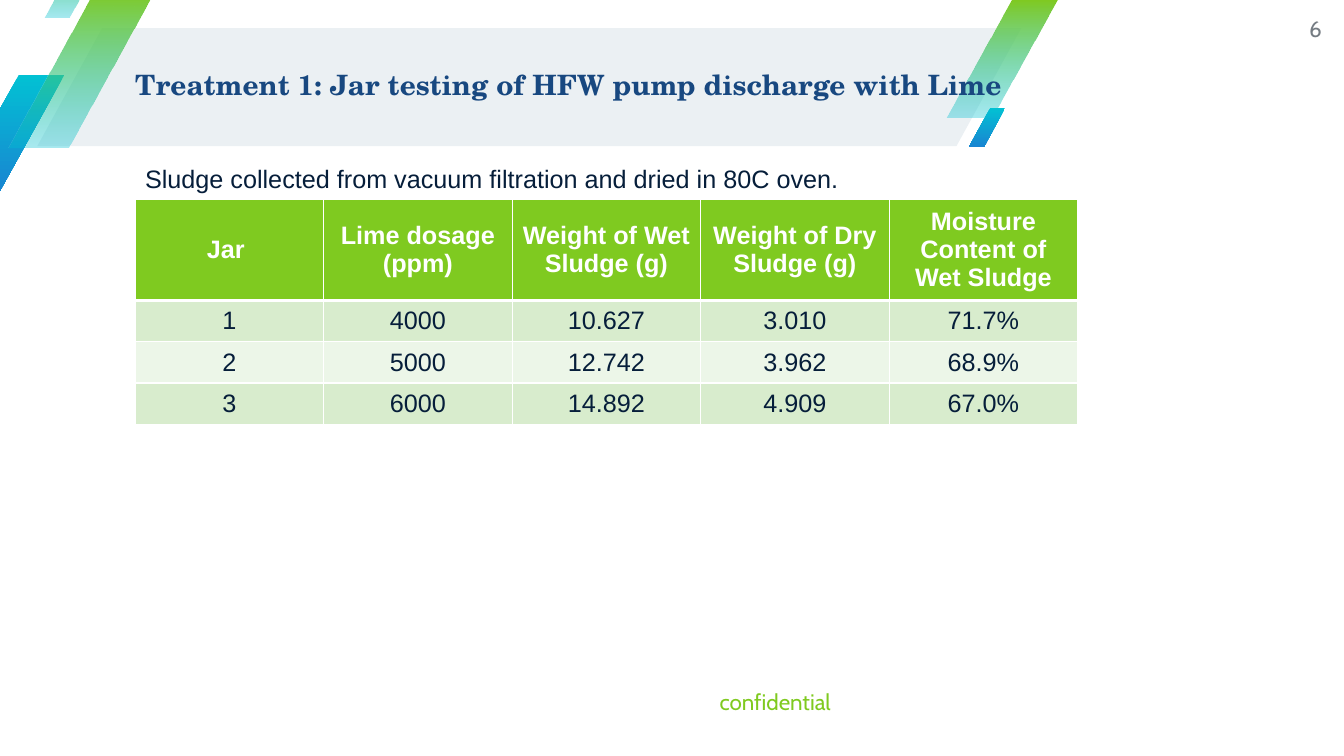
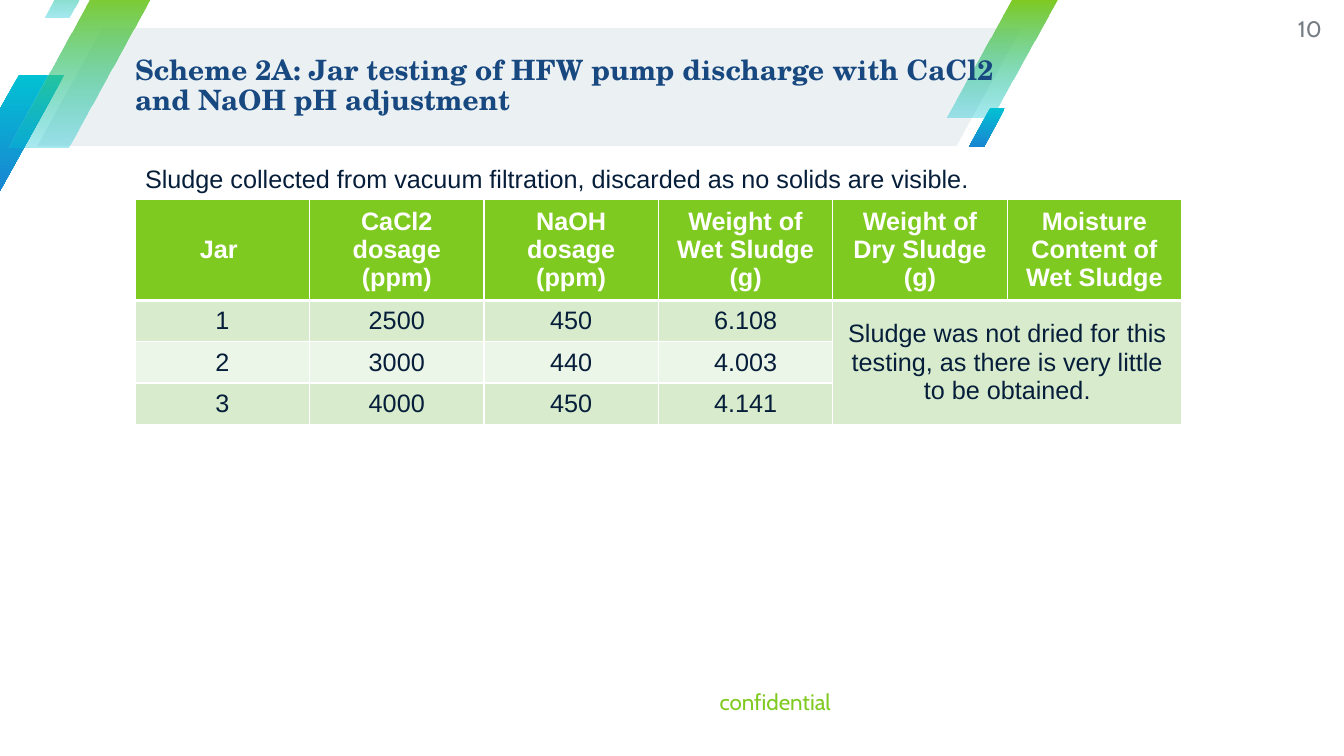
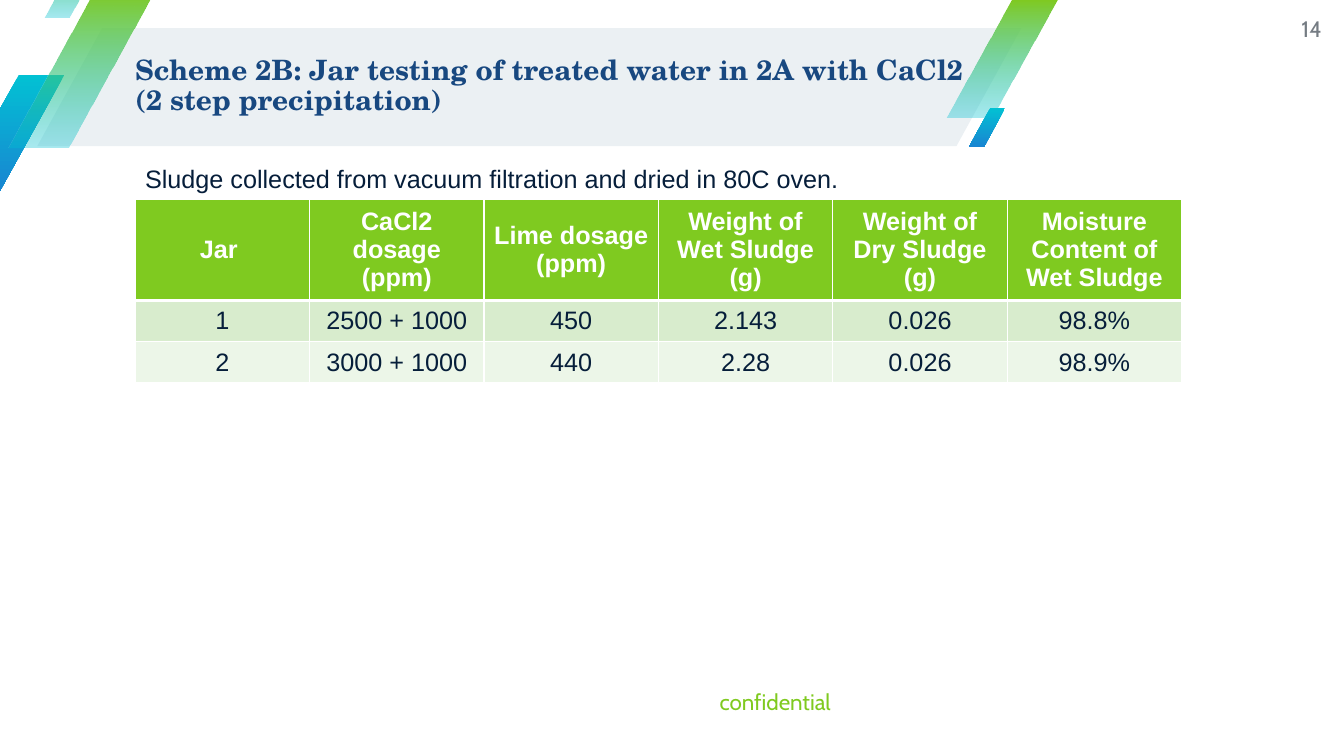
from lxml.etree import SubElement as Sub
from pptx import Presentation
from pptx.dml.color import RGBColor as RGB
from pptx.enum.shapes import MSO_SHAPE as Shape
from pptx.enum.text import MSO_ANCHOR as Anchor, MSO_AUTO_SIZE as Auto, PP_ALIGN as Align
from pptx.oxml.ns import qn
from pptx.util import Inches, Pt

WHITE = RGB(0xFF, 0xFF, 0xFF)
GREEN = RGB(0x7F, 0xCA, 0x20)
CYAN = RGB(0x02, 0xC1, 0xD3)
BLUE = RGB(0x19, 0x85, 0xD2)
PALE = RGB(0xEB, 0xF0, 0xF3)
NAVY = RGB(0x18, 0x48, 0x80)
INK = RGB(0x06, 0x1E, 0x3A)
GRAY = RGB(0x75, 0x7C, 0x83)
ODD = RGB(0xD8, 0xEC, 0xCD)
EVEN = RGB(0xEC, 0xF6, 0xE8)

LEFT = 1.34
HEAD_H, ROW_H = 0.79, 0.41

# left, top, width, height, adjustment, colours from top to bottom
BANDS = [
    (0.37, 0.28, 9.76, 1.17, 0.55, [PALE]),
    (-0.46, 0.74, 1.1, 1.17, 0.59, [CYAN, BLUE]),
    (9.39, 0, 1.1, 1.17, 0.59, [GREEN, CYAN]),
    (0.08, -0.1, 1.46, 1.56, 0.59, [GREEN, CYAN]),
    (0.44, -0.48, 0.61, 0.65, 0.59, [GREEN, CYAN]),
    (9.61, 1.07, 0.36, 0.39, 0.59, [CYAN, BLUE]),
]

WET, DRY = "Weight of Wet Sludge (g)", "Weight of Dry Sludge (g)"
MOIST = "Moisture Content of Wet Sludge"
LIME, CACL = "Lime dosage (ppm)", "CaCl2 dosage (ppm)"
DRIED = "Sludge collected from vacuum filtration and dried in 80C oven."

# page, title, note, note width, column width, rows, merged corners
PAGES = [
    ("6", "Treatment 1: Jar testing of HFW pump discharge with Lime",
     DRIED, 7.14, 1.87,
     [["Jar ", LIME, WET, DRY, MOIST],
      ["1", "4000", "10.627", "3.010", "71.7%"],
      ["2", "5000", "12.742", "3.962", "68.9%"],
      ["3", "6000", "14.892", "4.909", "67.0%"]], None),
    ("10", "Scheme 2A: Jar testing of HFW pump discharge with CaCl2 "
     "and NaOH pH adjustment",
     "Sludge collected from vacuum filtration, discarded as no solids are visible.",
     8.38, 1.73,
     [["Jar ", CACL, "NaOH dosage (ppm)", WET, DRY, MOIST],
      ["1", "2500", "450", "6.108", "Sludge was not dried for this testing, "
       "as there is very little to be obtained.", ""],
      ["2", "3000", "440", "4.003", "", ""],
      ["3", "4000", "450", "4.141", "", ""]], ((1, 4), (3, 5))),
    ("14", "Scheme 2B: Jar testing of treated water in 2A with CaCl2 \n"
     "(2 step precipitation)",
     DRIED, 7.14, 1.73,
     [["Jar ", CACL, LIME, WET, DRY, MOIST],
      ["1", "2500 + 1000", "450", "2.143", "0.026", "98.8%"],
      ["2", "3000 + 1000", "440", "2.28", "0.026", "98.9%"]], None),
]


def style(para, text, size, name, color, bold=False, align=Align.LEFT):
    para.text = text
    para.alignment = align
    font = para.font
    font.size, font.name, font.bold = Pt(size), name, bold
    font.color.rgb = color


def add_text(slide, box, *look, **more):
    """Add a wrapped, vertically centred box without margins."""
    frame = slide.shapes.add_textbox(*map(Inches, box)).text_frame
    frame.word_wrap = True
    frame.vertical_anchor = Anchor.MIDDLE
    frame.margin_left = frame.margin_right = 0
    frame.margin_top = frame.margin_bottom = 0
    style(frame.paragraphs[0], *look, **more)
    return frame


prs = Presentation()
prs.slide_width, prs.slide_height = Inches(13.33), Inches(7.5)

for page, title, note, note_w, col_w, rows, span in PAGES:
    slide = prs.slides.add_slide(prs.slide_layouts[6])

    for *box, adj, tints in BANDS:
        band = slide.shapes.add_shape(Shape.PARALLELOGRAM, *map(Inches, box))
        band.shadow.inherit = False
        band.adjustments[0] = adj
        band.line.fill.background()
        fill = band.fill
        if len(tints) == 1:
            fill.solid()
            fill.fore_color.rgb = tints[0]
            continue
        fill.gradient()
        fill.gradient_angle = 270
        for stop, tint in zip(fill.gradient_stops, tints):
            stop.color.rgb = tint
        if tints[-1] == CYAN:
            last = list(band.element.spPr.iter(qn("a:srgbClr")))[-1]
            Sub(last, qn("a:alpha"), val="34000")

    add_text(slide, (4.67, 6.67, 3.57, 0.57), "confidential", 16, "Cabin", GREEN,
             align=Align.RIGHT)
    add_text(slide, (12.48, 0, 0.63, 0.57), page, 16, "Cabin", GRAY,
             align=Align.RIGHT)

    count = len(rows[0])
    high = HEAD_H + ROW_H * (len(rows) - 1)
    table = slide.shapes.add_table(
        len(rows), count, *map(Inches, (LEFT, 1.98, col_w * count, high))).table
    for r, row in enumerate(rows):
        table.rows[r].height = Inches(ROW_H if r else HEAD_H)
        for c, text in enumerate(row):
            cell = table.cell(r, c)
            cell.vertical_anchor = Anchor.MIDDLE
            style(cell.text_frame.paragraphs[0], text, 18, "Arial",
                  INK if r else WHITE, bold=r == 0, align=Align.CENTER)
            props = cell._tc.get_or_add_tcPr()
            for side in "LRTB":
                thick = (r, side) in ((0, "B"), (1, "T"))
                line = Sub(props, qn(f"a:ln{side}"), w=str(Pt(3 if thick else 1)))
                Sub(Sub(line, qn("a:solidFill")), qn("a:srgbClr"), val=str(WHITE))
            cell.fill.solid()
            cell.fill.fore_color.rgb = (ODD if r % 2 else EVEN) if r else GREEN
    if span:
        table.cell(*span[0]).merge(table.cell(*span[1]))

    head = add_text(slide, (LEFT, 0.26, 8.79, 1.19), title, 20,
                    "TeX Gyre Schola", NAVY, bold=True)
    head.paragraphs[0].line_spacing = 0.9

    frame = slide.shapes.add_textbox(*map(Inches, (LEFT, 1.57, note_w, 0.4))).text_frame
    frame.word_wrap = False
    frame.auto_size = Auto.SHAPE_TO_FIT_TEXT
    style(frame.paragraphs[0], note, 18, "Arial", INK)

prs.save("out.pptx")
